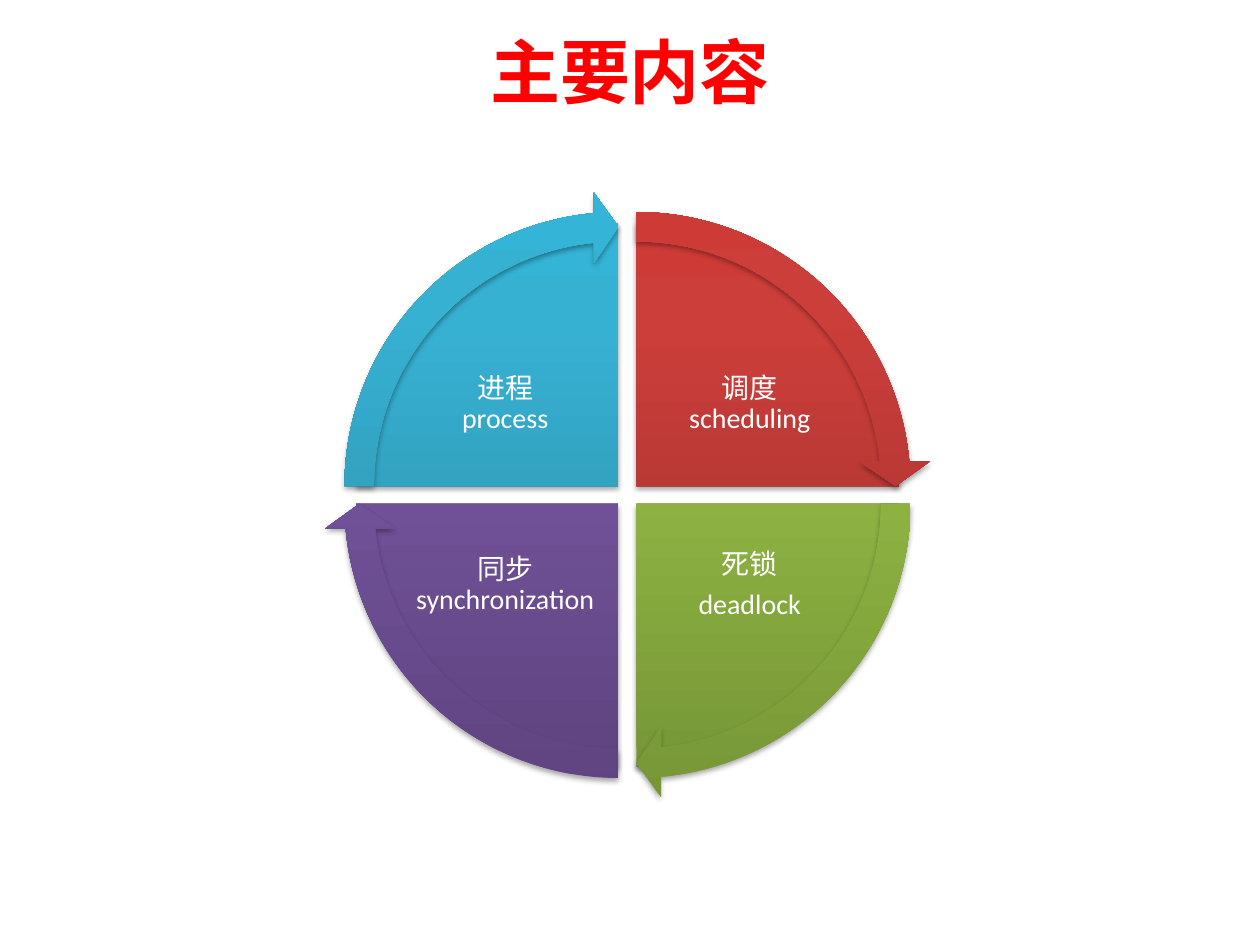
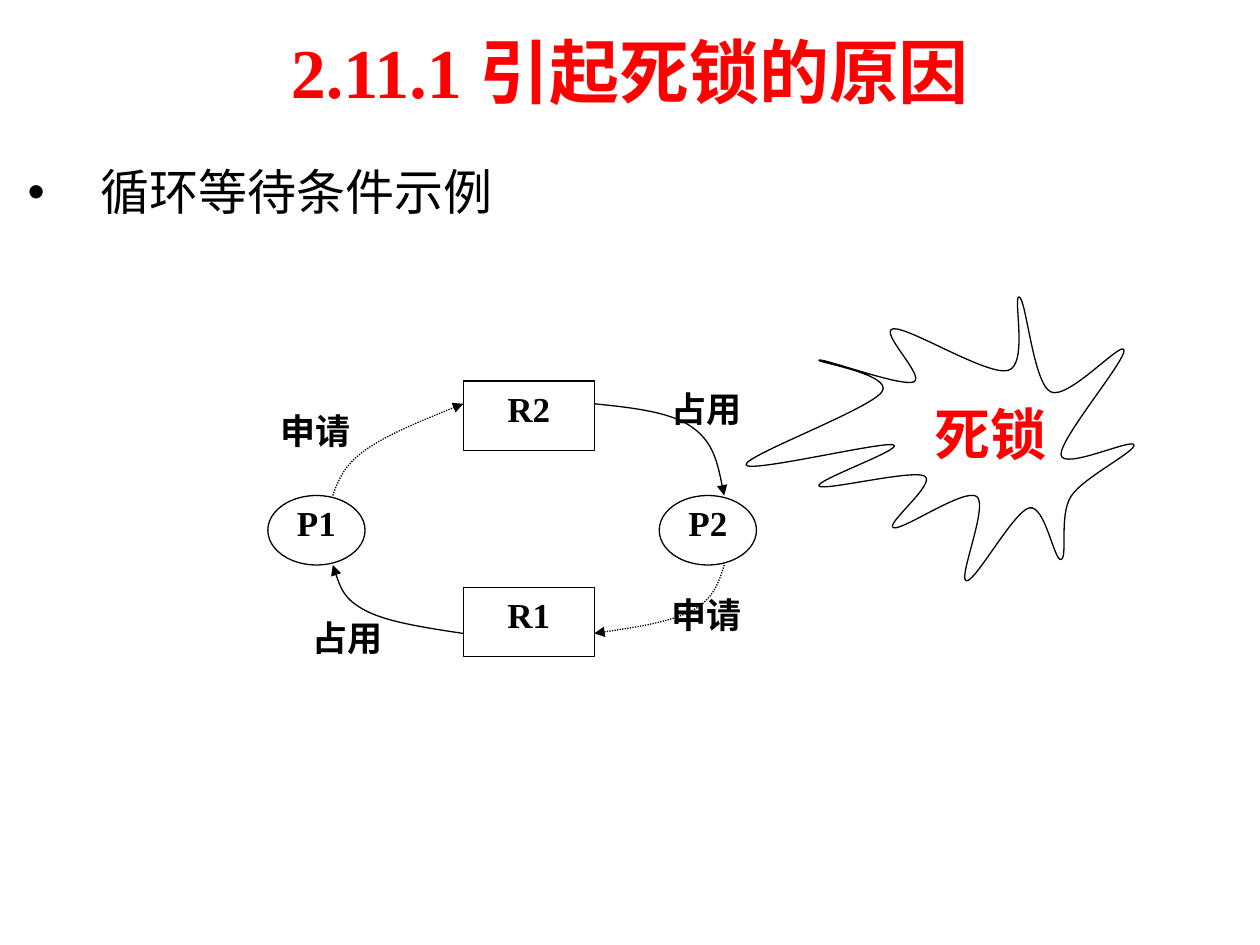
import copy

import pptx
import pptx.dml.color
import pptx.enum.dml
import pptx.enum.shapes
import pptx.enum.text
import pptx.oxml
import pptx.oxml.ns
import pptx.util
from lxml import etree

Cm = pptx.util.Cm
Pt = pptx.util.Pt
qn = pptx.oxml.ns.qn
RGB = pptx.dml.color.RGBColor.from_string
ALIGN = pptx.enum.text.PP_ALIGN
ANCHOR = pptx.enum.text.MSO_ANCHOR
SHAPE = pptx.enum.shapes.MSO_SHAPE

COLORS = {"title": "FF0000", "ink": "000000", "white": "FFFFFF"}
# Gradient of each quadrant, from bottom to top
GRADIENTS = {
    "red": ("9C2F2D", "CB3E3A", "CE3B37"),
    "green": ("779737", "9BC348", "9DC746"),
    "purple": ("5F4480", "7B58A6", "7C57A8"),
    "blue": ("2A88A2", "37B1D2", "34B4D6"),
}
SERIF, SANS = "Times New Roman", "Calibri"


def write_text(shape, text, size=20, color="ink", font=SERIF, bold=True,
               align=ALIGN.CENTER, anchor=ANCHOR.TOP, margin=None, wrap=True,
               line_spacing=None, space_after=None, bullet_indent=None):
    """Fill a shape; a line feed starts a paragraph, a vertical tab a line."""
    frame = shape.text_frame
    frame.word_wrap = wrap
    frame.vertical_anchor = anchor
    if margin is not None:
        frame.margin_left = frame.margin_right = margin
        frame.margin_top = frame.margin_bottom = margin
    frame.text = text
    for paragraph in frame.paragraphs:
        paragraph.alignment = align
        if line_spacing:
            paragraph.line_spacing = line_spacing
        if space_after:
            paragraph.space_after = space_after
        if bullet_indent:
            properties = paragraph._p.get_or_add_pPr()
            properties.set("marL", str(bullet_indent))
            properties.set("indent", str(-bullet_indent))
            etree.SubElement(properties, qn("a:buFont")).set("typeface", "Arial")
            etree.SubElement(properties, qn("a:buChar")).set("char", "•")
        for run in paragraph.runs:
            run.font.name = font
            run.font.size = Pt(size)
            run.font.bold = bold
            run.font.color.rgb = RGB(COLORS[color])


def draw_curve(slide, anchors, closed=False):
    """Draw a smooth thin outline through the anchors, given in centimetres."""
    count = len(anchors)
    segments = count if closed else count - 1
    points = []
    for i in range(segments):
        before, start = anchors[i - 1], anchors[i]
        end, after = anchors[(i + 1) % count], anchors[(i + 2) % count]
        leave = [s + (e - b) / 6 for s, e, b in zip(start, end, before)]
        reach = [e - (a - s) / 6 for s, e, a in zip(start, end, after)]
        if not closed and i == 0:
            leave = [(s + r) / 2 for s, r in zip(start, reach)]
        if not closed and i == segments - 1:
            reach = [(e + l) / 2 for e, l in zip(end, leave)]
        points += [(Cm(x), Cm(y)) for x, y in (leave, reach, end)]
    first_x, first_y = anchors[0]
    builder = slide.shapes.build_freeform(Cm(first_x), Cm(first_y))
    builder.add_line_segments(points, close=closed)
    shape = builder.convert_to_shape()

    # Join every three points into one Bezier segment
    lines = list(shape._element.spPr.iter(qn("a:lnTo")))
    for i in range(0, len(lines), 3):
        bezier = etree.Element(qn("a:cubicBezTo"))
        lines[i].addprevious(bezier)
        for line in lines[i:i + 3]:
            bezier.append(line[0])
            line.getparent().remove(line)

    shape.shadow.inherit = False
    shape.fill.background()
    shape.line.color.rgb = RGB(COLORS["ink"])
    shape.line.width = Pt(0.75)
    return shape


presentation = pptx.Presentation()
presentation.slide_width = Cm(25.4)
presentation.slide_height = Cm(19.05)

# Slides with their titles
slides = []
for title_text in ("主要内容", "2.11.1 引起死锁的原因"):
    slide = presentation.slides.add_slide(presentation.slide_layouts[5])
    title = slide.shapes.title
    title.left, title.top = Cm(1.27), Cm(0.13)
    title.width, title.height = Cm(22.86), Cm(2.59)
    write_text(title, title_text, size=40, color="title", anchor=ANCHOR.MIDDLE)
    slides.append(slide)
contents_slide, deadlock_slide = slides

# Slide 1: cycle of four quadrants, clockwise from the top right
# (text, gradient, column, row, start angle); a quarter turn is 54
QUARTER = 54
quadrants = [
    ("调度\vscheduling", "red", 1, 0, 162),
    ("死锁\ndeadlock", "green", 1, 1, 0),
    ("同步\vsynchronization", "purple", 0, 1, 54),
    ("进程\vprocess", "blue", 0, 0, 108),
]
PIE_SIZE, ARROW_SIZE, GAP = 10.6, 11.88, 0.36
for kind, size in ((SHAPE.PIE, PIE_SIZE), (SHAPE.CIRCULAR_ARROW, ARROW_SIZE)):
    overhang = (size - PIE_SIZE) / 2
    for text, gradient, column, row, angle in quadrants:
        shape = contents_slide.shapes.add_shape(
            kind, Cm(7.17 + GAP * column - overhang),
            Cm(4.5 + GAP * row - overhang), Cm(size), Cm(size))
        if kind == SHAPE.PIE:
            adjustments = (angle, (angle + QUARTER) % (4 * QUARTER))
        else:
            adjustments = (0.05, 3.28, angle + 50.73, angle, 0.06)
        for i, value in enumerate(adjustments):
            shape.adjustments[i] = value
        shape.line.fill.background()

        # Three-stop gradient
        shape.fill.gradient()
        shape.fill.gradient_angle = 90
        stop_list = shape._element.spPr.find(".//" + qn("a:gsLst"))
        stop_list.insert(1, copy.deepcopy(stop_list[0]))
        for stop, position, color in zip(
                shape.fill.gradient_stops, (0, 0.8, 1), GRADIENTS[gradient]):
            stop.position = position
            stop.color.rgb = RGB(color)

        # Soft shadow below
        shape.shadow.inherit = False
        effects = shape._element.spPr.find(qn("a:effectLst"))
        shadow = etree.SubElement(
            effects, qn("a:outerShdw"), blurRad=str(Pt(3.1)),
            dist=str(Pt(1.8)), dir="5400000", rotWithShape="0")
        shadow_color = etree.SubElement(
            shadow, qn("a:srgbClr"), val=COLORS["ink"])
        etree.SubElement(shadow_color, qn("a:alpha"), val="35000")

        if kind == SHAPE.PIE:
            label = contents_slide.shapes.add_textbox(
                Cm(8.23 + 4.93 * column), Cm(6.71 + 3.65 * row),
                Cm(3.91), Cm(2.9))
            write_text(label, text, size=16, color="white", font=SANS,
                       bold=False, anchor=ANCHOR.MIDDLE, margin=Cm(0.05),
                       line_spacing=0.9, space_after=Pt(5.6))

# Slide 2: bullet
body = deadlock_slide.shapes.add_textbox(
    Cm(0.31), Cm(3.14), Cm(22.86), Cm(12.57))
write_text(body, "循环等待条件示例", size=28, bold=False, align=ALIGN.LEFT,
           bullet_indent=Cm(1.47))

# Resources are boxes, processes are ellipses
NODE_HEIGHT = 1.4
nodes = [
    ("R1", SHAPE.RECTANGLE, 9.34, 11.84, 2.64),
    ("R2", SHAPE.RECTANGLE, 9.34, 7.68, 2.64),
    ("P1", SHAPE.OVAL, 5.4, 9.99, 1.96),
    ("P2", SHAPE.OVAL, 13.29, 9.99, 1.96),
]
for name, kind, left, top, width in nodes:
    box = (Cm(left), Cm(top), Cm(width), Cm(NODE_HEIGHT))
    node = deadlock_slide.shapes.add_shape(kind, *box)
    node.shadow.inherit = False
    node.fill.background()
    node.line.color.rgb = RGB(COLORS["ink"])
    node.line.width = Pt(0.75)
    if kind == SHAPE.OVAL:
        node = deadlock_slide.shapes.add_textbox(*box)
    write_text(node, name)

# Arrows: solid for held, dotted for requested
HELD, REQUESTED = "占用", "申请"
arrows = [
    (HELD, (6.05, 12.31), [(9.34, 12.77), (7.37, 12.31), (6.71, 11.39)]),
    (HELD, (13.29, 7.68), [(11.98, 8.14), (13.95, 8.61), (14.6, 9.99)]),
    (REQUESTED, (13.29, 11.84),
     [(14.6, 11.39), (13.95, 12.31), (11.98, 12.77)]),
    (REQUESTED, (5.4, 8.14), [(6.71, 9.99), (7.37, 9.07), (9.34, 8.14)]),
]
for text, (left, top), anchors in arrows:
    arrow = draw_curve(deadlock_slide, anchors)
    if text == REQUESTED:
        arrow.line.dash_style = pptx.enum.dml.MSO_LINE.ROUND_DOT
    line = arrow._element.spPr.find(qn("a:ln"))
    etree.SubElement(line, qn("a:tailEnd"), type="triangle")
    label = deadlock_slide.shapes.add_textbox(
        Cm(left), Cm(top), Cm(3.28), Cm(NODE_HEIGHT))
    write_text(label, text, align=ALIGN.JUSTIFY)

# Burst with the outcome
burst_anchors = [
    (17.78, 7.9), (15.04, 9.37), (18.01, 8.97), (16.51, 9.8), (18.64, 9.6),
    (18.01, 10.64), (19.69, 10.01), (19.48, 11.71), (20.75, 10.24),
    (21.39, 11.28), (21.59, 10.01), (22.86, 8.97), (21.39, 9.17),
    (22.66, 7.06), (21.18, 7.9), (20.55, 5.99), (20.32, 7.47),
    (18.01, 6.63), (18.42, 7.7), (16.51, 7.26),
]
draw_curve(deadlock_slide, burst_anchors, closed=True)
outcome = deadlock_slide.shapes.add_textbox(
    Cm(18.59), Cm(7.92), Cm(2.77), Cm(1.6))
write_text(outcome, "死锁", size=32, color="title", align=ALIGN.LEFT, wrap=False)
outcome.text_frame.auto_size = pptx.enum.text.MSO_AUTO_SIZE.SHAPE_TO_FIT_TEXT

presentation.save("out.pptx")
